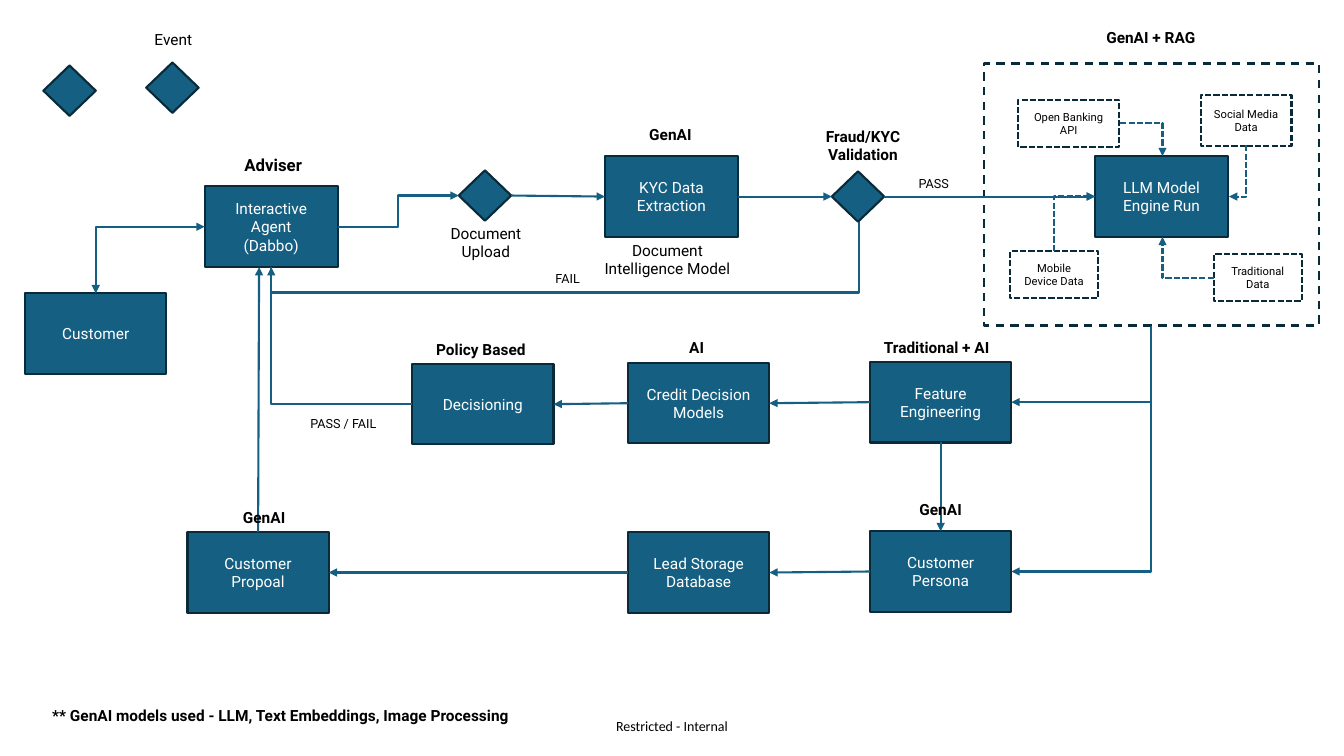
from dataclasses import dataclass

from lxml.etree import SubElement
from pptx import Presentation
from pptx.dml.color import RGBColor
from pptx.enum.dml import MSO_LINE
from pptx.enum.shapes import MSO_CONNECTOR as Link, MSO_SHAPE as Shape
from pptx.enum.text import MSO_ANCHOR as Anchor, PP_ALIGN as Align
from pptx.oxml.ns import qn
from pptx.util import Inches, Pt


@dataclass(frozen=True)
class Theme:
    fill: RGBColor = RGBColor(0x15, 0x60, 0x82)
    outline: RGBColor = RGBColor(0x09, 0x2A, 0x39)
    white: RGBColor = RGBColor(0xFF, 0xFF, 0xFF)
    black: RGBColor = RGBColor(0, 0, 0)
    font: str = "Roboto"
    footer_font: str = "Calibri"
    head: int = 12
    body: int = 11
    footer: int = 10
    note: int = 9
    small: int = 8
    stroke: float = 1.5


THEME = Theme()
TOP, LEFT, BOTTOM, RIGHT = range(4)
NARROW, WIDE, BOX_HEIGHT = 1.32, 1.4, 0.8
DIAMOND_SIZE = (0.52, 0.5)

# name: (text, left, top, width)
STEPS = {
    "agent": ("Interactive Agent\n(Dabbo)", 2.03, 1.85, NARROW),
    "extraction": ("KYC Data Extraction", 6, 1.55, NARROW),
    "engine": ("LLM Model Engine Run", 10.86, 1.55, NARROW),
    "customer": ("Customer", 0.25, 2.91, WIDE),
    "decisioning": ("Decisioning", 4.09, 3.61, WIDE),
    "credit": ("Credit Decision Models", 6.23, 3.6, WIDE),
    "features": ("Feature Engineering", 8.63, 3.59, WIDE),
    "proposal": ("Customer Propoal", 1.86, 5.28, WIDE),
    "leads": ("Lead Storage Database", 6.23, 5.28, WIDE),
    "persona": ("Customer Persona", 8.63, 5.27, WIDE),
}
# name: (left, top)
DIAMONDS = {
    "spare": (0.43, 0.65),
    "event": (1.45, 0.62),
    "upload": (4.55, 1.69),
    "validation": (8.25, 1.7),
}
# text, left, top, width, height
DATA_SOURCES = [
    ("Mobile Device Data", 10.02, 2.49, 0.87, 0.47),
    ("Open Banking API", 10.1, 0.99, 1, 0.47),
    ("Social Media Data", 11.91, 0.94, 0.9, 0.51),
    ("Traditional Data", 12.04, 2.52, 0.87, 0.47),
]
RAG_FRAME = (9.76, 0.63, 3.32, 2.6)
# from, side, to, side
STRAIGHT_LINKS = [
    ("upload", RIGHT, "extraction", LEFT),
    ("extraction", RIGHT, "validation", LEFT),
    ("validation", RIGHT, "engine", LEFT),
    ("features", LEFT, "credit", RIGHT),
    ("credit", LEFT, "decisioning", RIGHT),
    ("features", BOTTOM, "persona", TOP),
    ("persona", LEFT, "leads", RIGHT),
    ("leads", LEFT, "proposal", RIGHT),
]
# start, end, options
CORNERS = [
    ((2.03, 2.25), (0.95, 2.91), {"ends": ("headEnd", "tailEnd")}),
    ((4.09, 4.01), (2.69, 2.65), {"ends": ()}),
    ((11.42, 3.23), (10.03, 3.99), {"upright": True}),
    ((11.42, 3.23), (10.03, 5.67), {"upright": True}),
    ((12.04, 2.76), (11.53, 2.35), {"dashed": True}),
    ((11.11, 1.22), (11.53, 1.55), {"dashed": True}),
    ((12.36, 1.44), (12.19, 1.95), {"upright": True, "dashed": True}),
    ((10.45, 2.49), (10.86, 1.95), {"upright": True, "dashed": True}),
]
# text, left, top, width, height
HEADINGS = [
    ("GenAI", 6.15, 1.19, 1, 0.29),
    ("Fraud/KYC Validation", 7.86, 1.21, 1.4, 0.47),
    ("Policy Based", 4.21, 3.32, 1.12, 0.29),
    ("AI", 6.41, 3.31, 1, 0.29),
    ("Traditional + AI", 8.63, 3.31, 1.32, 0.29),
    ("GenAI", 2.12, 4.99, 1, 0.29),
    ("GenAI", 8.83, 4.91, 1, 0.29),
    ("GenAI + RAG", 10.21, 0.23, 2.41, 0.3),
    ("** GenAI models used - LLM, Text Embeddings, Image Processing", 0.07, 6.96, 5.43, 0.29),
]
CAPTIONS = [
    ("Event", 1.34, 0.25, 0.76, 0.29),
    ("Document Upload", 4.32, 2.17, 1, 0.47),
    ("Document Intelligence Model", 5.88, 2.34, 1.48, 0.47),
]
OUTCOMES = [
    ("PASS", 9, 1.7, 0.52, 0.25),
    ("FAIL", 5.37, 2.64, 0.52, 0.25),
    ("PASS / FAIL", 2.95, 4.08, 0.91, 0.25),
]


def write(frame, text, size, color, bold=False):
    frame.word_wrap = True
    frame.text = text
    for para in frame.paragraphs:
        para.alignment = Align.CENTER
        font = para.font
        font.name, font.size, font.bold = THEME.font, Pt(size), bold
        font.color.rgb = color


def add_block(page, kind, box, dash=None):
    """Add a filled shape, or a hollow one when a dash style is given."""
    block = page.shapes.add_shape(kind, *map(Inches, box))
    block.shadow.inherit = False
    block.line.color.rgb = THEME.outline
    block.line.width = Pt(THEME.stroke)
    if dash:
        block.fill.background()
        block.line.dash_style = dash
    else:
        block.fill.solid()
        block.fill.fore_color.rgb = THEME.fill
    block.text_frame.vertical_anchor = Anchor.MIDDLE
    return block


def add_label(page, text, *box, size, bold=False):
    label = page.shapes.add_textbox(*map(Inches, box))
    write(label.text_frame, text, size, THEME.black, bold)
    return label


def add_link(page, kind, start, end, ends=("tailEnd",), dashed=False):
    link = page.shapes.add_connector(kind, *map(Inches, (*start, *end)))
    link.line.color.rgb = THEME.fill
    link.line.width = Pt(THEME.stroke)
    if dashed:
        link.line.dash_style = MSO_LINE.SQUARE_DOT
    properties = link._element.spPr
    for end_name in ends:
        SubElement(properties.find(qn("a:ln")), qn(f"a:{end_name}"), type="triangle")
    SubElement(properties, qn("a:effectLst"))
    return link


def add_elbow(page, start, end, preset="bentConnector2", upright=False, bend=None, **style):
    """Add a bent link; an upright one leaves vertically, by a quarter turn."""
    if upright:
        (x0, y0), (x1, y1) = start, end
        mid_x, mid_y = (x0 + x1) / 2, (y0 + y1) / 2
        half_x, half_y = (y1 - y0) / 2, (x0 - x1) / 2
        start = (mid_x - half_x, mid_y - half_y)
        end = (mid_x + half_x, mid_y + half_y)
    link = add_link(page, Link.ELBOW, start, end, **style)
    properties = link._element.spPr
    if upright:
        properties.find(qn("a:xfrm")).set("rot", str(90 * 60000))
    geometry = properties.find(qn("a:prstGeom"))
    geometry.set("prst", preset)
    if bend:
        guides = geometry.find(qn("a:avLst"))
        SubElement(guides, qn("a:gd"), name="adj1", fmla=f"val {round(bend * 100000)}")


def main():
    deck = Presentation()
    deck.slide_width, deck.slide_height = Inches(13.33), Inches(7.5)
    page = deck.slides.add_slide(deck.slide_layouts[6])

    blocks = {}
    for name, (text, left, top, width) in STEPS.items():
        blocks[name] = add_block(page, Shape.RECTANGLE, (left, top, width, BOX_HEIGHT))
        write(blocks[name].text_frame, text, THEME.body, THEME.white)
    for name, corner in DIAMONDS.items():
        blocks[name] = add_block(page, Shape.DIAMOND, (*corner, *DIAMOND_SIZE))
    for text, *box in DATA_SOURCES:
        block = add_block(page, Shape.RECTANGLE, box, MSO_LINE.SQUARE_DOT)
        write(block.text_frame, text, THEME.small, THEME.black)
    add_block(page, Shape.RECTANGLE, RAG_FRAME, MSO_LINE.DASH)

    for source, source_side, target, target_side in STRAIGHT_LINKS:
        link = add_link(page, Link.STRAIGHT, (0, 0), (1, 1))
        link.begin_connect(blocks[source], source_side)
        link.end_connect(blocks[target], target_side)
    to_agent = add_link(page, Link.STRAIGHT, (2.56, 5.28), (2.57, 2.65))
    to_agent.begin_connect(blocks["proposal"], TOP)
    for start, end, options in CORNERS:
        add_elbow(page, start, end, **options)
    add_elbow(page, (3.35, 2.25), (4.55, 1.94), "bentConnector3")
    add_elbow(page, (8.52, 2.2), (2.69, 2.65), "bentConnector3", upright=True, bend=1.56)

    for heading in HEADINGS:
        add_label(page, *heading, size=THEME.body, bold=True)
    add_label(page, "Adviser", 2.21, 1.49, 1, 0.3, size=THEME.head, bold=True)
    for caption in CAPTIONS:
        add_label(page, *caption, size=THEME.body)
    for outcome in OUTCOMES:
        add_label(page, *outcome, size=THEME.note)

    footer = add_label(page, "Restricted - Internal", 6.11, 7.12, 1.15, 0.17, size=THEME.footer)
    frame = footer.text_frame
    frame.margin_left = frame.margin_right = frame.margin_top = frame.margin_bottom = 0
    frame.word_wrap = False
    frame.paragraphs[0].alignment = Align.LEFT
    frame.paragraphs[0].font.name = THEME.footer_font
    deck.save("out.pptx")


if __name__ == "__main__":
    main()
